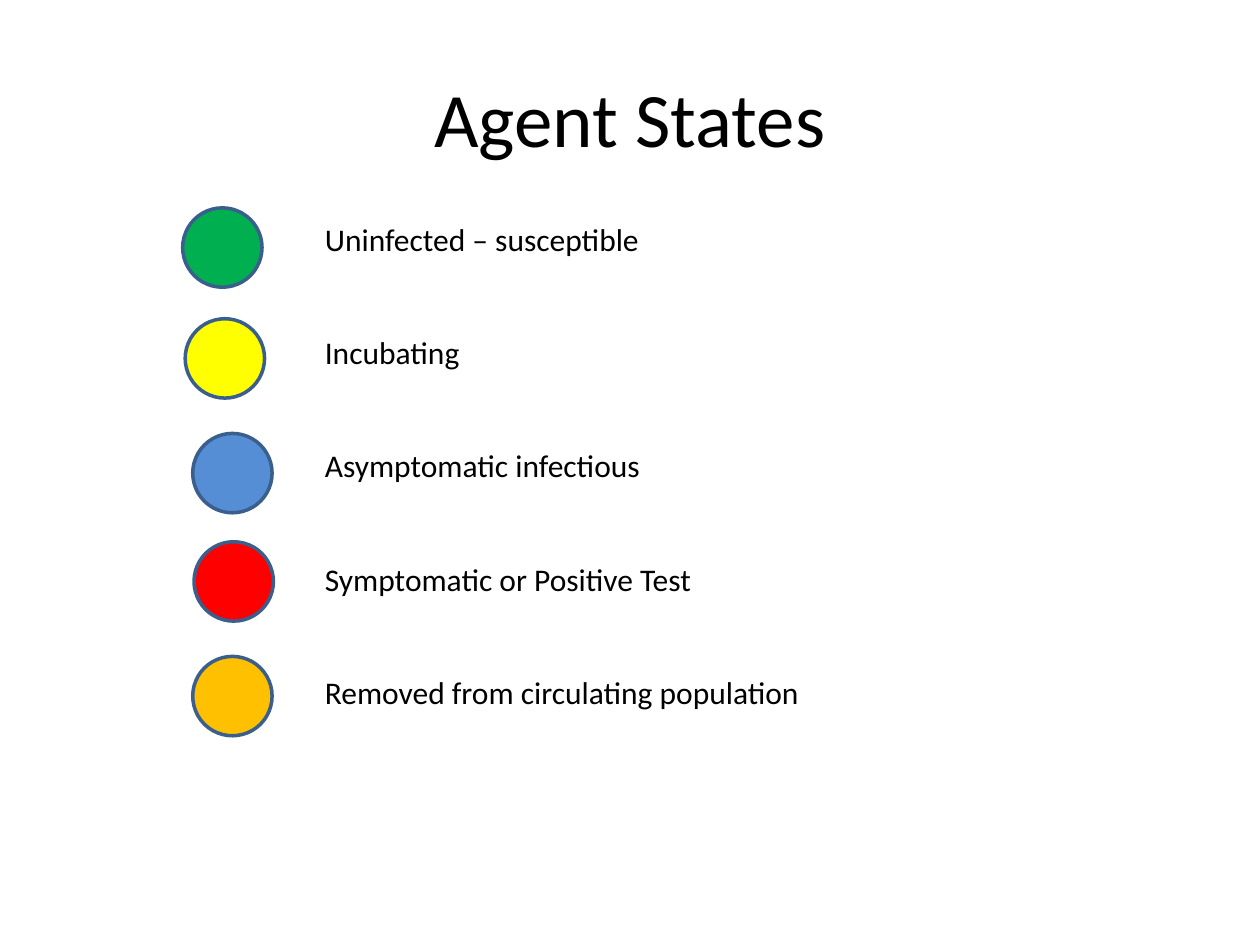
from typing import NamedTuple

from pptx import Presentation
from pptx import util as u
from pptx.dml.color import RGBColor
from pptx.enum import shapes, text

COLORS = {
    "text": "000000", "outline": "3A5F8C", "green": "00B050", "yellow": "FFFF00",
    "blue": "558ED5", "red": "FF0000", "amber": "FFC000",
}
FONT = "Calibri"
DOT_SIZE = 0.63
LABEL_GAP = 43  # points between one label and the next


class AgentState(NamedTuple):
    """One state: its label, dot colour and dot position in inches."""
    label: str
    color: str
    left: float
    top: float


STATES = [
    AgentState("Uninfected – susceptible", "green", 1.45, 1.65),
    AgentState("Incubating", "yellow", 1.47, 2.53),
    AgentState("Asymptomatic infectious", "blue", 1.53, 3.44),
    AgentState("Symptomatic or Positive Test", "red", 1.54, 4.3),
    AgentState("Removed from circulating population", "amber", 1.53, 5.21),
]


def rgb(name: str) -> RGBColor:
    """Look up a palette colour."""
    return RGBColor.from_string(COLORS[name])


def add_run(paragraph, wording: str, size: float) -> None:
    """Add one formatted run to a paragraph."""
    run = paragraph.add_run()
    run.text = wording
    run.font.name = FONT
    run.font.size = u.Pt(size)
    run.font.color.rgb = rgb("text")


def add_title(slide, wording: str) -> None:
    """Place and fill the title placeholder."""
    title = slide.shapes.title
    title.left, title.top = u.Inches(0.5), u.Inches(0.3)
    title.width, title.height = u.Inches(9), u.Inches(1.25)
    title.text_frame.vertical_anchor = text.MSO_ANCHOR.MIDDLE
    heading = title.text_frame.paragraphs[0]
    heading.alignment = text.PP_ALIGN.CENTER
    add_run(heading, wording, 44)


def add_dot(slide, state: AgentState) -> None:
    """Draw the coloured dot of a state."""
    dot = slide.shapes.add_shape(
        shapes.MSO_SHAPE.OVAL, u.Inches(state.left), u.Inches(state.top),
        u.Inches(DOT_SIZE), u.Inches(DOT_SIZE))
    dot.shadow.inherit = False
    dot.fill.solid()
    dot.fill.fore_color.rgb = rgb(state.color)
    dot.line.color.rgb = rgb("outline")
    dot.line.width = u.Pt(2)


def add_labels(slide, states: list[AgentState]) -> None:
    """Write all labels as evenly spaced paragraphs of one text box."""
    box = slide.shapes.add_textbox(
        u.Inches(2.48), u.Inches(1.7), u.Inches(6.22), u.Inches(4.04))
    frame = box.text_frame
    frame.word_wrap = True
    for index, state in enumerate(states):
        label = frame.add_paragraph() if index else frame.paragraphs[0]
        if index:
            label.space_before = u.Pt(LABEL_GAP)
        add_run(label, state.label, 18)


def main() -> None:
    """Build and save the slide."""
    deck = Presentation()
    deck.slide_width, deck.slide_height = u.Inches(10), u.Inches(7.5)
    slide = deck.slides.add_slide(deck.slide_layouts.get_by_name("Title Only"))
    add_title(slide, "Agent States")
    for state in STATES:
        add_dot(slide, state)
    add_labels(slide, STATES)
    deck.save("out.pptx")


main()
